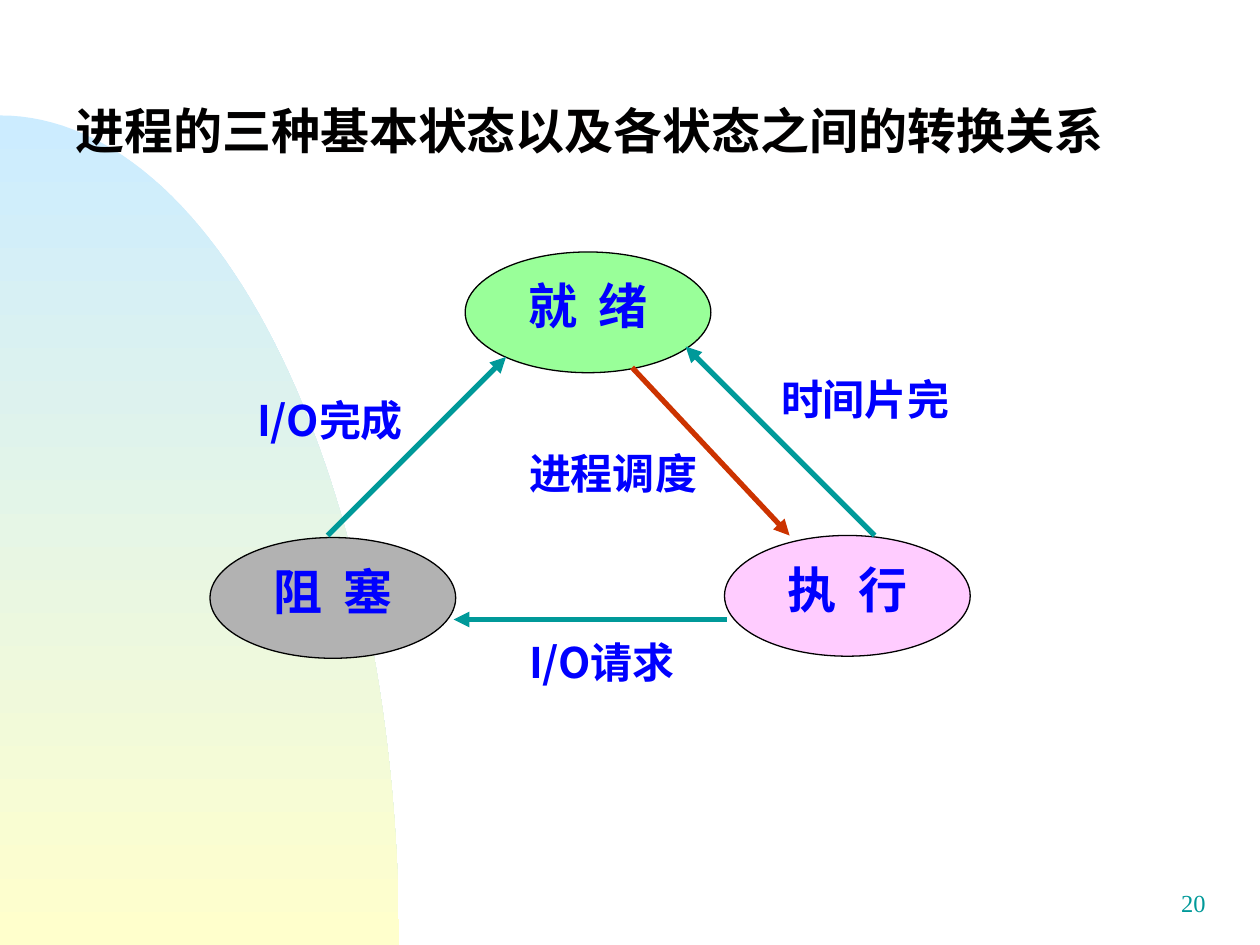
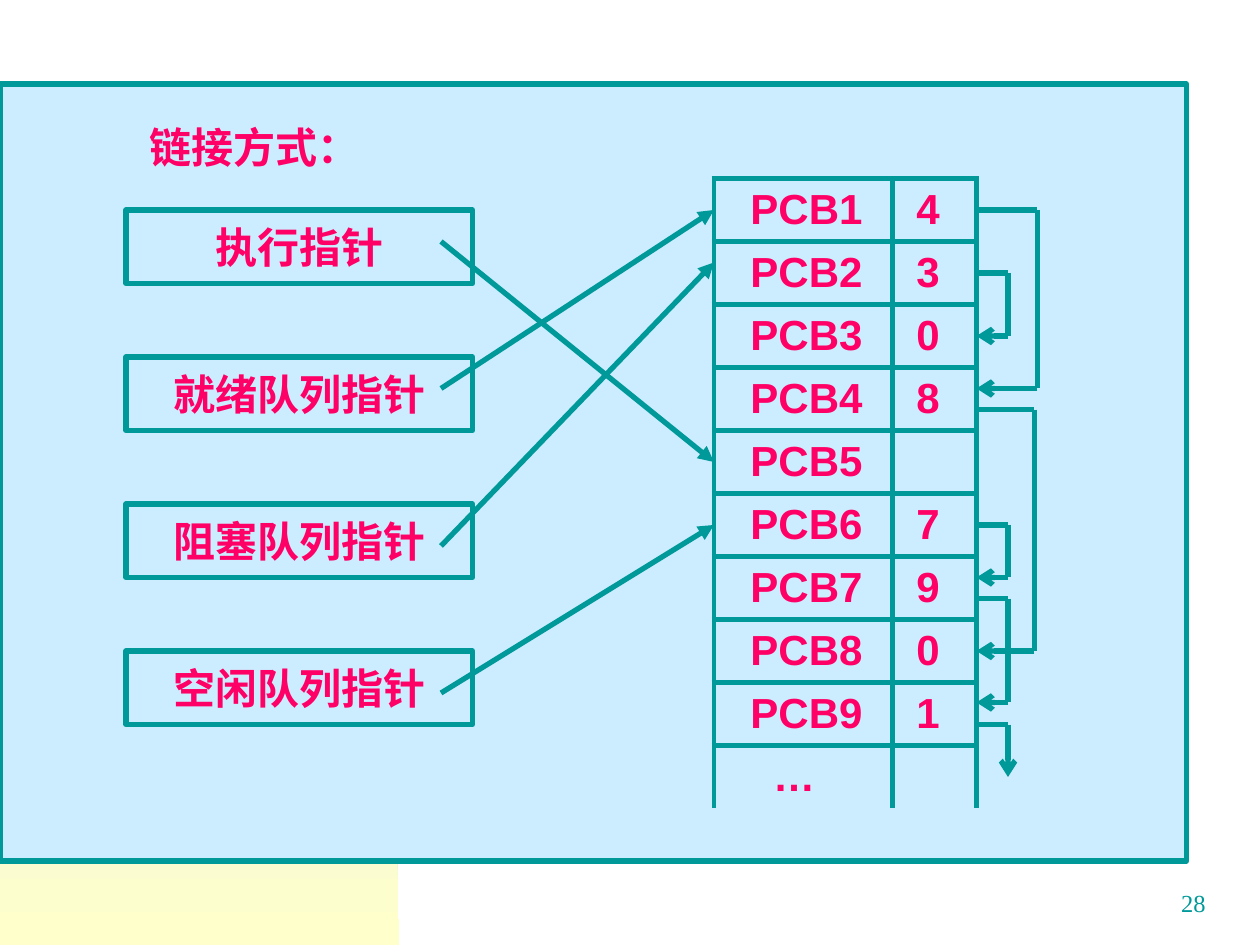
from math import sin, cos, pi
from lxml.etree import SubElement
from pptx import Presentation
from pptx.dml.color import RGBColor
from pptx.enum.shapes import MSO_CONNECTOR, MSO_SHAPE
from pptx.enum.text import MSO_ANCHOR, MSO_AUTO_SIZE, PP_ALIGN
from pptx.oxml.ns import qn
from pptx.util import Inches, Pt

TEAL, BLUE, PINK, SKY, RED = "009999", "0000FF", "FF0066", "CCECFF", "CC3300"
HAN, SANS, SERIF = "Noto Sans CJK SC", "Arial", "Times New Roman"
WIDE, HIGH = 120, 90

STATES = {
    "title": "进程的三种基本状态以及各状态之间的转换关系",
    "page": "20",
    "ovals": [
        ("执 行", 69, 51, "FFCCFF"),
        ("阻 塞", 20, 51.2, "B2B2B2"),
        ("就 绪", 44.3, 24, "99FF99"),
    ],
    "moves": [
        ((69.2, 59), (43.2, 59), TEAL),
        ((31.2, 51), (48.2, 34), TEAL),
        ((83.3, 51), (65.3, 33), TEAL),
        ((60.2, 35), (75.2, 51), RED),
    ],
    "labels": [
        ("时间片完", 73.2, 35, SERIF),
        ("I/O请求", 49.2, 60, HAN),
        ("进程调度", 49.2, 42, SERIF),
        ("I/O完成", 23.3, 37, HAN),
    ],
}

LINKS = {
    "title": "链接方式：",
    "page": "28",
    "heads": [
        ("执行指针", 23, 44),
        ("就绪队列指针", 37, 20),
        ("阻塞队列指针", 52, 25),
        ("空闲队列指针", 66, 50),
    ],
    "rows": [
        ("PCB1", "4"), ("PCB2", "3"), ("PCB3", "0"), ("PCB4", "8"),
        ("PCB5", ""), ("PCB6", "7"), ("PCB7", "9"), ("PCB8", "0"),
        ("PCB9", "1"), ("…", ""),
    ],
    "loops": [
        (20, 37, 98.8), (26, 32, 96), (39, 62, 98.5),
        (50, 55, 96), (57, 66.9, 96),
    ],
    "exit": (69, 74, 96),
}


def ink(code):
    return RGBColor.from_string(code)


def grid(*units):
    return [Inches(unit / 12) for unit in units]


def write(frame, text, size=24, font=SANS, color=PINK, bold=True,
          align=PP_ALIGN.LEFT, anchor=MSO_ANCHOR.TOP, wrap=True, gap=0):
    frame.word_wrap = wrap
    frame.vertical_anchor = anchor
    para = frame.paragraphs[0]
    para.alignment = align
    run = para.add_run()
    run.text = text
    run.font.size = Pt(size)
    run.font.name = font
    run.font.bold = bold
    run.font.color.rgb = ink(color)
    props = run.font._element
    SubElement(props, qn("a:ea")).set("typeface", HAN)
    if gap:
        props.set("spc", str(gap * 100))


def label(slide, text, box, **style):
    write(slide.shapes.add_textbox(*grid(*box)).text_frame, text, **style)


def block(slide, kind, box, fill, line=TEAL, width=3):
    shape = slide.shapes.add_shape(kind, *grid(*box))
    shape.shadow.inherit = False
    shape.fill.solid()
    shape.fill.fore_color.rgb = ink(fill)
    shape.line.color.rgb = ink(line)
    shape.line.width = Pt(width)
    return shape


def join(slide, start, end, color=TEAL, tip=None):
    line = slide.shapes.add_connector(
        MSO_CONNECTOR.STRAIGHT, *grid(*start, *end))
    line.line.color.rgb = ink(color)
    line.line.width = Pt(3)
    if tip:
        SubElement(line.line._get_or_add_ln(), qn("a:tailEnd")).set("type", tip)
    SubElement(line._element.spPr, qn("a:effectLst"))


def hill(slide):
    steps = 60
    rim = [(38 * sin(pi * n / 2 / steps), HIGH - 79 * cos(pi * n / 2 / steps))
           for n in range(steps + 1)]
    dots = [grid(*dot) for dot in rim + [(0, HIGH)]]
    path = slide.shapes.build_freeform(*dots[0])
    path.add_line_segments(dots[1:], close=True)
    shape = path.convert_to_shape()
    shape.shadow.inherit = False
    shape.line.fill.background()
    shape.fill.gradient()
    shape.fill.gradient_angle = 270
    for stop, color, place in zip(shape.fill.gradient_stops, (SKY, "FFFFCC"), (0, 1)):
        stop.color.rgb = ink(color)
        stop.position = place


def start(deck, data):
    slide = deck.slides.add_slide(deck.slide_layouts[5])
    hill(slide)
    label(slide, data["page"], (91, 84, 25, 6), size=14, font=SERIF,
          color=TEAL, bold=False, align=PP_ALIGN.RIGHT)
    return slide


def head(slide, text, box, **style):
    title = slide.shapes.title
    title.left, title.top, title.width, title.height = grid(*box)
    write(title.text_frame, text, **style)
    title.text_frame.auto_size = MSO_AUTO_SIZE.NONE
    slide.shapes._spTree.append(title._element)


def edge(cell, sides):
    props = cell._tc.get_or_add_tcPr()
    for side in "LRTB":
        line = SubElement(props, qn("a:ln" + side), w=str(Pt(3)))
        if side in sides:
            fill = SubElement(line, qn("a:solidFill"))
            SubElement(fill, qn("a:srgbClr")).set("val", TEAL)
        else:
            SubElement(line, qn("a:noFill"))
    cell.fill.background()


def table(slide, rows, left, top, cols, step):
    box = grid(left, top, sum(cols), step * len(rows))
    grille = slide.shapes.add_table(len(rows), len(cols), *box).table
    grille.first_row = grille.horz_banding = False
    for col, width in zip(grille.columns, grid(*cols)):
        col.width = width
    for r, row in enumerate(rows):
        grille.rows[r].height = grid(step)[0]
        last = r == len(rows) - 1
        for c, text in enumerate(row):
            cell = grille.cell(r, c)
            edge(cell, "LRT" if last else "LRTB")
            cell.margin_top = cell.margin_bottom = 0
            cell.margin_left = Inches(0.19 if c else 0.47 if last else 0.29)
            cell.margin_right = 0
            cell.vertical_anchor = MSO_ANCHOR.MIDDLE
            if text:
                write(cell.text_frame, text, anchor=None)
            else:
                cell.text_frame.paragraphs[0].font.size = Pt(24)


def states(deck):
    slide = start(deck, STATES)
    for text, x, y, fill in STATES["ovals"]:
        oval = block(slide, MSO_SHAPE.OVAL, (x, y, 23.4, 11.5), fill, "000000", 0.75)
        write(oval.text_frame, text, size=28, font=HAN, color=BLUE,
              align=PP_ALIGN.CENTER, gap=3)
    for tail, tip, color in STATES["moves"]:
        join(slide, tail, tip, color, "triangle")
    for text, x, y, font in STATES["labels"]:
        label(slide, text, (x, y, 21, 6), font=font, color=BLUE)
    head(slide, STATES["title"], (6, 9, 102, 6.8), size=28, font="Cabin",
         color="010000")


def links(deck):
    slide = start(deck, LINKS)
    block(slide, MSO_SHAPE.RECTANGLE, (0, 8, 113, 74), SKY)
    left, cols = 68, (17, 8)
    side = left + sum(cols)
    table(slide, LINKS["rows"], left, 17, cols, 6)
    for top, low, lane in LINKS["loops"]:
        join(slide, (side, top), (lane, top))
        join(slide, (lane, top), (lane, low))
        join(slide, (lane, low), (side, low), tip="arrow")
    top, low, lane = LINKS["exit"]
    join(slide, (side, top), (lane, top))
    join(slide, (lane, top), (lane, low), tip="arrow")
    for n, (text, *_) in enumerate(LINKS["heads"]):
        box = block(slide, MSO_SHAPE.RECTANGLE, (12, 20 + 14 * n, 33, 7), SKY)
        write(box.text_frame, text, align=PP_ALIGN.CENTER,
              anchor=MSO_ANCHOR.MIDDLE, wrap=False)
    for _, tail, tip in LINKS["heads"]:
        join(slide, (42, tail), (left, tip), tip="triangle")
    head(slide, LINKS["title"], (13, 11, 26, 6))


def main():
    deck = Presentation()
    deck.slide_width, deck.slide_height = grid(WIDE, HIGH)
    states(deck)
    links(deck)
    deck.save("out.pptx")


if __name__ == "__main__":
    main()
